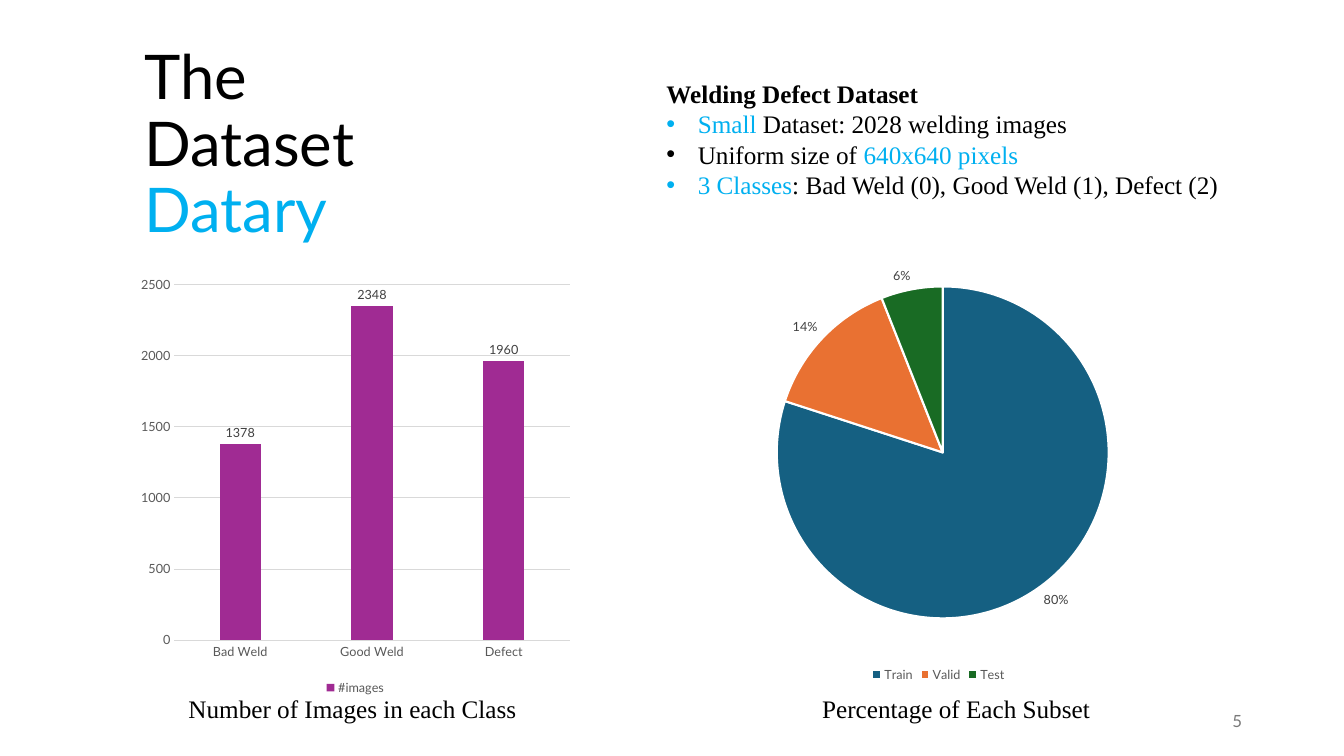
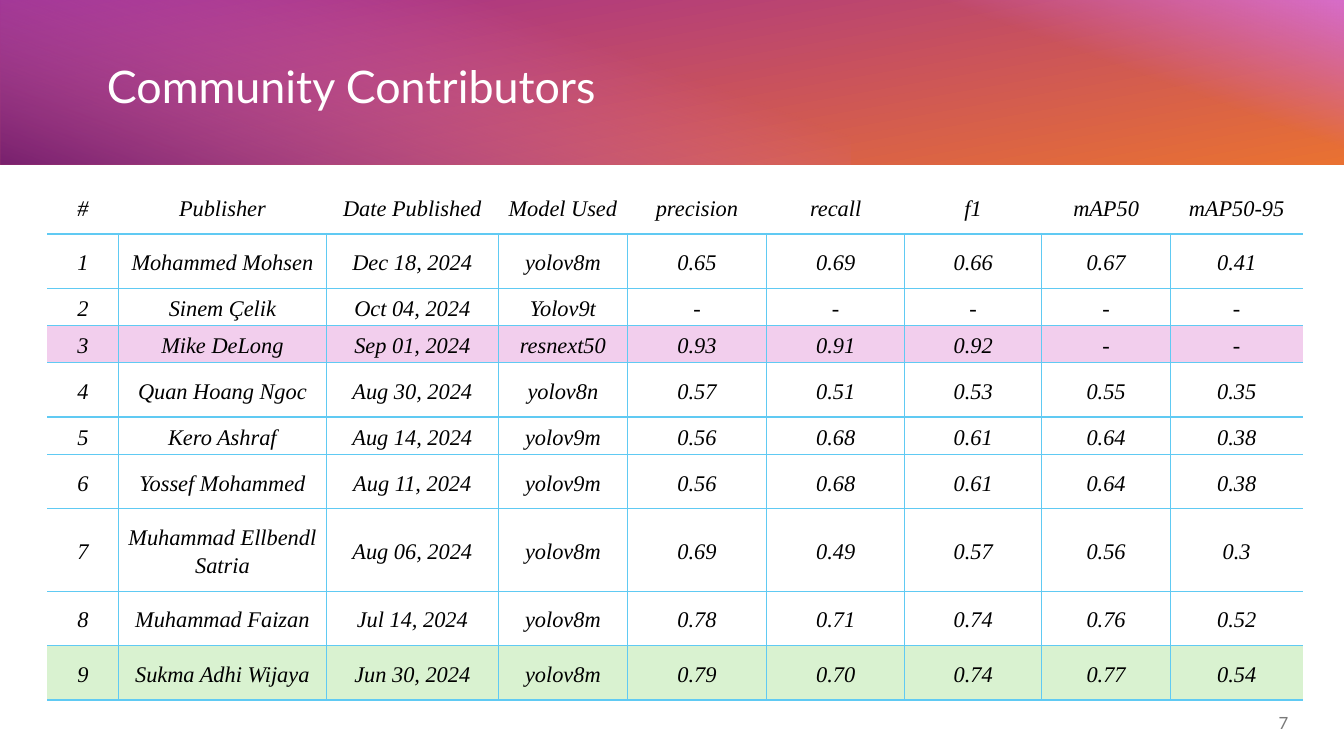
from pptx import Presentation
from pptx import util as u
from pptx.chart import data
from pptx.dml import color
from pptx.enum import chart as ch, shapes, text
from pptx.oxml import ns, xmlchemy as xc

# Shared style
SANS, SERIF = "Lato", "Times New Roman"
BLACK, WHITE, BLUE, GREY = "000000", "FFFFFF", "00B0F0", "797979"
AXIS, LABEL, GRID = "595959", "404040", "D9D9D9"
PURPLE, ORANGE, PINK, PLUM = "A02B93", "E97132", "D86ECC", "78206E"
RULE = "60CAF3"
LEFT, RIGHT, MID = text.PP_ALIGN.LEFT, text.PP_ALIGN.RIGHT, text.PP_ALIGN.CENTER

# Table content
HEAD = ["#", "Publisher", "Date Published", "Model Used", "precision",
        "recall", "f1", "mAP50", "mAP50-95"]
ROWS = [
    ["1", "Mohammed Mohsen", "Dec 18, 2024", "yolov8m", "0.65", "0.69", "0.66", "0.67", "0.41"],
    ["2", "Sinem Çelik", "Oct 04, 2024", "Yolov9t", "-", "-", "-", "-", "-"],
    ["3", "Mike DeLong", "Sep 01, 2024", "resnext50", "0.93", "0.91", "0.92", "-", "-"],
    ["4", "Quan Hoang Ngoc", "Aug 30, 2024", "yolov8n", "0.57", "0.51", "0.53", "0.55", "0.35"],
    ["5", "Kero Ashraf", "Aug 14, 2024", "yolov9m", "0.56", "0.68", "0.61", "0.64", "0.38"],
    ["6", "Yossef Mohammed", "Aug 11, 2024", "yolov9m", "0.56", "0.68", "0.61", "0.64", "0.38"],
    ["7", "Muhammad Ellbendl Satria", "Aug 06, 2024", "yolov8m", "0.69", "0.49", "0.57", "0.56", "0.3"],
    ["8", "Muhammad Faizan", "Jul 14, 2024", "yolov8m", "0.78", "0.71", "0.74", "0.76", "0.52"],
    ["9", "Sukma Adhi Wijaya", "Jun 30, 2024", "yolov8m", "0.79", "0.70", "0.74", "0.77", "0.54"],
]
WIDTHS = [1.8, 5.23, 4.34, 3.25, 3.51, 3.48, 3.45, 3.25, 3.33]
HEIGHTS = [1.37, 1.37, 0.94, 0.94, 1.37, 0.94, 1.37, 2.08, 1.37, 1.37]
FILLS = {0: WHITE, 3: "F2CEED", 9: "D9F2D0"}


def rgb(code):
    return color.RGBColor.from_string(code)


def box(*sides):
    return [u.Cm(side) for side in sides]


def style(font, name, size, code, bold=False, italic=False):
    font.name, font.size = name, u.Pt(size)
    font.bold, font.italic = bold, italic
    font.color.rgb = rgb(code)


def move(shape, place):
    shape.left, shape.top, shape.width, shape.height = box(*place)


def title(slide, words, place, size, codes):
    """Fill the title; each line takes its own colour."""
    shape = slide.shapes.title
    move(shape, place)
    frame = shape.text_frame
    frame.text = words
    frame.auto_size = text.MSO_AUTO_SIZE.NONE
    frame.vertical_anchor = text.MSO_ANCHOR.MIDDLE
    para = frame.paragraphs[0]
    para.alignment, para.line_spacing = LEFT, 0.9
    for run, code in zip(para.runs, codes):
        style(run.font, SANS, size, code)


def label(slide, words, place, name, size, code, align=LEFT):
    frame = slide.shapes.add_textbox(*box(*place)).text_frame
    frame.word_wrap = True
    frame.text = words
    frame.vertical_anchor = text.MSO_ANCHOR.MIDDLE
    frame.paragraphs[0].alignment = align
    style(frame.paragraphs[0].runs[0].font, name, size, code)


def number(slide, words, left, top):
    label(slide, words, (left, top, 7.62, 1.02), SANS, 12, GREY, RIGHT)


def points(shape, head, items, place):
    """Bold heading, then bullets made of (words, colour) parts."""
    move(shape, place)
    frame = shape.text_frame
    frame.auto_size = text.MSO_AUTO_SIZE.NONE
    for at, parts in enumerate([[(head, BLACK)]] + items):
        para = frame.paragraphs[0] if at == 0 else frame.add_paragraph()
        para.space_before = u.Pt(0)
        props = para._p.get_or_add_pPr()
        gap = u.Cm(0.79) if at else 0
        props.set("marL", str(gap))
        props.set("indent", str(-gap))
        if at:
            props.append(xc.OxmlElement("a:buChar"))
            props[-1].set("char", "•")
        else:
            props.append(xc.OxmlElement("a:buNone"))
        for words, code in parts:
            run = para.add_run()
            run.text = words
            style(run.font, SERIF, 18, code, bold=at == 0)


def graph(slide, kind, place, name, cats, vals):
    """Add a one-series chart with the shared legend and labels."""
    info = data.CategoryChartData()
    info.categories = cats
    info.add_series(name, vals)
    chart = slide.shapes.add_chart(kind, *box(*place), info).chart
    style(chart.font, SANS, 10, BLACK)
    chart.has_title = False
    chart.has_legend = True
    chart.legend.position = ch.XL_LEGEND_POSITION.BOTTOM
    chart.legend.include_in_layout = False
    style(chart.legend.font, SANS, 9, AXIS)
    plot = chart.plots[0]
    plot.has_data_labels = True
    tags = plot.data_labels
    tags.position = ch.XL_LABEL_POSITION.OUTSIDE_END
    style(tags.font, SANS, 9, LABEL)
    return chart, plot, tags


def bars(slide, place, name, cats, vals):
    chart, plot, tags = graph(slide, ch.XL_CHART_TYPE.COLUMN_CLUSTERED,
                              place, name, cats, vals)
    tags.show_value = True
    plot.vary_by_categories = False
    plot.gap_width, plot.overlap = 219, -27
    fill = plot.series[0].format.fill
    fill.solid()
    fill.fore_color.rgb = rgb(PURPLE)
    for axis in (chart.category_axis, chart.value_axis):
        axis.major_tick_mark = axis.minor_tick_mark = ch.XL_TICK_MARK.NONE
        style(axis.tick_labels.font, SANS, 9, AXIS)
    chart.value_axis.format.line.fill.background()
    chart.value_axis.has_major_gridlines = True
    for part in (chart.category_axis, chart.value_axis.major_gridlines):
        part.format.line.color.rgb = rgb(GRID)
        part.format.line.width = u.Pt(0.75)


def pie(slide, place, name, cats, vals, codes):
    chart, plot, tags = graph(slide, ch.XL_CHART_TYPE.PIE,
                              place, name, cats, vals)
    tags.show_value, tags.show_percentage = False, True
    tags.number_format, tags.number_format_is_linked = "0%", False
    plot.vary_by_categories = True
    for at, code in enumerate(codes):
        form = plot.series[0].points[at].format
        form.fill.solid()
        form.fill.fore_color.rgb = rgb(code)
        form.line.color.rgb = rgb(WHITE)
        form.line.width = u.Pt(1.5)


def layer(group, place, turn, angle, stops, clear):
    """Add a turned rectangle with a gradient; clear fades its start."""
    shape = group.shapes.add_shape(shapes.MSO_SHAPE.RECTANGLE, *box(*place))
    shape.rotation = turn
    shape.shadow.inherit = False
    shape.line.fill.background()
    shape.fill.gradient()
    shape.fill.gradient_angle = 360 - angle
    for stop, (spot, code) in zip(shape.fill.gradient_stops, stops):
        stop.position = spot
        stop.color.rgb = rgb(code)
    if clear:
        first = next(shape._element.iter(ns.qn("a:srgbClr")))
        first.append(xc.OxmlElement("a:alpha"))
        first[-1].set("val", "0")


def band(slide):
    group = slide.shapes.add_group_shape()
    layer(group, (14.83, -14.91, 4.22, 33.88), 270, 170,
          [(0, PURPLE), (1, ORANGE)], False)
    layer(group, (24.77, -5, 4.19, 14.07), 270, 20,
          [(0.59, PINK), (1, PINK)], True)
    layer(group, (8.61, -8.69, 4.22, 21.44), 90, 20,
          [(0.29, PINK), (1, PLUM)], True)
    slide.shapes._spTree.insert(2, group._element)  # behind the title


def edge(cell, side, width):
    """Draw one cell border; width 0 hides it."""
    line = xc.OxmlElement("a:ln" + side)
    line.set("w", str(u.Pt(width)))
    if width:
        fill = xc.OxmlElement("a:solidFill")
        fill.append(xc.OxmlElement("a:srgbClr"))
        fill[0].set("val", RULE)
    else:
        fill = xc.OxmlElement("a:noFill")
    line.append(fill)
    cell._tc.get_or_add_tcPr().append(line)


def entry(cell, words, row, col):
    cell.text = words
    cell.vertical_anchor = text.MSO_ANCHOR.MIDDLE
    cell.margin_left = cell.margin_right = u.Cm(0.23)
    cell.margin_top = cell.margin_bottom = 0
    para = cell.text_frame.paragraphs[0]
    para.alignment, para.line_spacing = MID, 1.15
    style(para.runs[0].font, SERIF, 16, BLACK, italic=True)
    edge(cell, "L", 1 if row and col else 0)
    edge(cell, "R", 1 if row and col < len(HEAD) - 1 else 0)
    edge(cell, "T", (0, 1.5)[row] if row < 2 else 1)
    edge(cell, "B", 1 if row else 1.5)
    if row in FILLS:
        cell.fill.solid()
        cell.fill.fore_color.rgb = rgb(FILLS[row])
    else:
        cell.fill.background()


def grid(slide, left, top):
    lines = [HEAD] + ROWS
    place = box(left, top, sum(WIDTHS), sum(HEIGHTS))
    table = slide.shapes.add_table(len(lines), len(HEAD), *place).table
    table.first_row = table.horz_banding = False
    for col, width in zip(table.columns, WIDTHS):
        col.width = u.Cm(width)
    for row, height in zip(table.rows, HEIGHTS):
        row.height = u.Cm(height)
    for row, line in enumerate(lines):
        for col, words in enumerate(line):
            entry(table.cell(row, col), words, row, col)


def dataset(deck):
    slide = deck.slides.add_slide(deck.slide_layouts[1])
    title(slide, "The Dataset\vDatary", (3.38, 1.85, 8.56, 3.68), 44,
          [BLACK, BLUE])
    points(slide.placeholders[1], "Welding Defect Dataset", [
        [("Small", BLUE), (" Dataset: 2028 welding images", BLACK)],
        [("Uniform size of ", BLACK), ("640x640 pixels", BLUE)],
        [("3 Classes", BLUE),
         (": Bad Weld (0), Good Weld (1), Defect (2)", BLACK)],
    ], (16.54, 1.85, 16.23, 3.33))
    bars(slide, (3.33, 6.76, 11.25, 10.87), "#images",
         ["Bad Weld", "Good Weld", "Defect"], [1378, 2348, 1960])
    pie(slide, (19.02, 5.92, 9.27, 11.38), "Series 1",
        ["Train", "Valid", "Test"], [80, 14, 6], ["156082", ORANGE, "196B24"])
    for words, left, width in [("Percentage of Each Subset", 20.47, 7.47),
                               ("Number of Images in each Class", 4.5, 8.92)]:
        label(slide, words, (left, 17.35, width, 1.02), SERIF, 18, BLACK)
    number(slide, "5", 23.93, 17.65)


def people(deck):
    slide = deck.slides.add_slide(deck.slide_layouts[5])
    band(slide)
    title(slide, "Community Contributors", (2.44, 0.84, 29.11, 2.79), 32,
          [WHITE])
    grid(slide, 1.19, 4.52)
    number(slide, "7", 25.1, 17.7)


def main():
    deck = Presentation()
    deck.slide_width, deck.slide_height = box(33.87, 19.05)
    dataset(deck)
    people(deck)
    deck.save("out.pptx")


if __name__ == "__main__":
    main()
